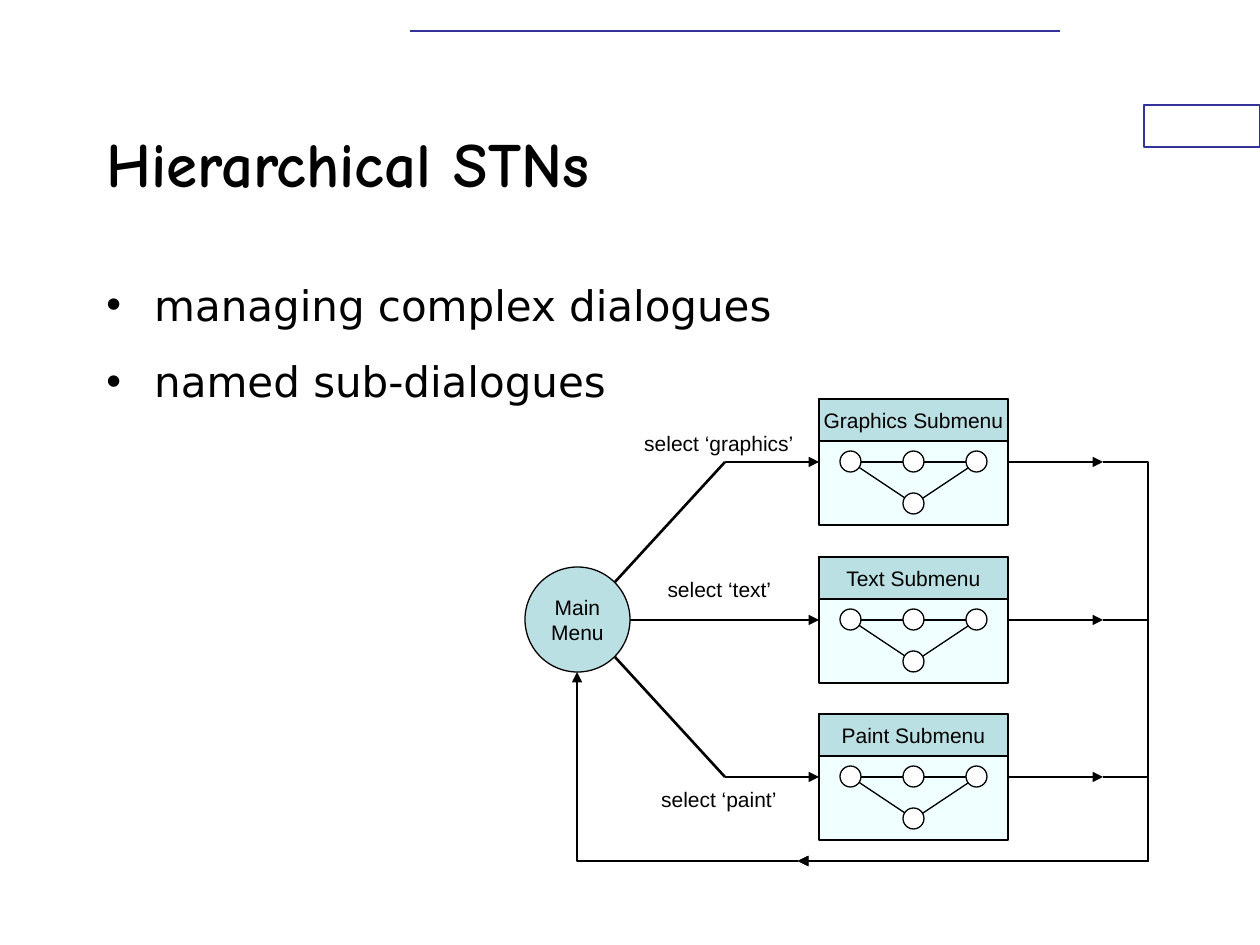
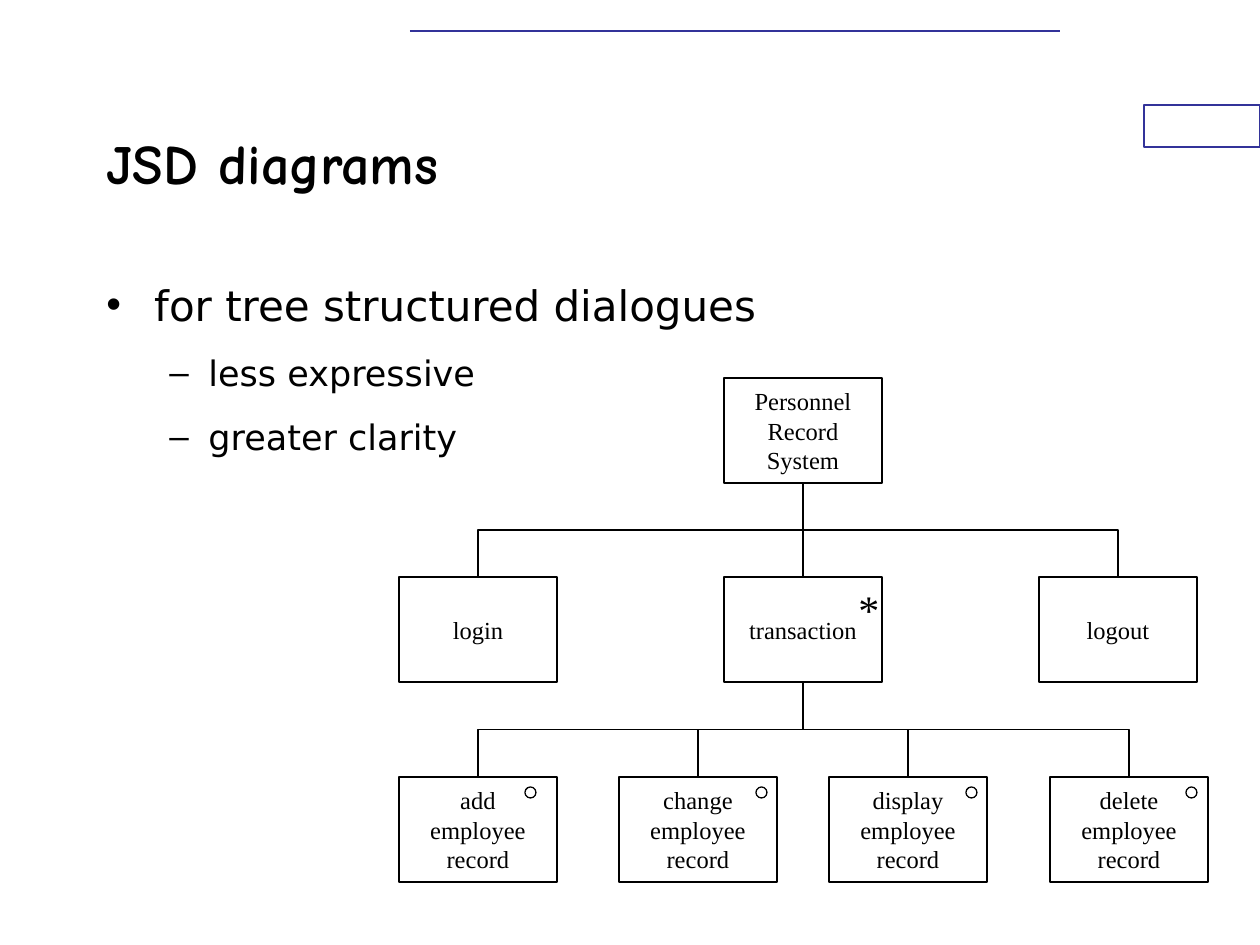
from dataclasses import dataclass

import lxml.etree
import pptx
import pptx.dml.color
import pptx.enum.shapes
import pptx.enum.text
import pptx.oxml.ns
import pptx.presentation
import pptx.shapes.autoshape
import pptx.shapes.connector
import pptx.slide
import pptx.text.text
import pptx.util

RGBColor = pptx.dml.color.RGBColor
BLACK = RGBColor(0x00, 0x00, 0x00)
WHITE = RGBColor(0xFF, 0xFF, 0xFF)
FRAME_BLUE = RGBColor(0x33, 0x33, 0x99)
TEAL = RGBColor(0xBB, 0xE0, 0xE3)
AZURE = RGBColor(0xF0, 0xFF, 0xFF)

TITLE_FONT, BODY_FONT = "Comic Neue", "DejaVu Sans"
STN_FONT, JSD_FONT = "Arial", "Times New Roman"

THIN, MEDIUM, THICK = 0.74, 0.99, 1.5  # line widths in points
EMU_PER_PIXEL = 914400 / 126

RECTANGLE = pptx.enum.shapes.MSO_SHAPE.RECTANGLE
OVAL = pptx.enum.shapes.MSO_SHAPE.OVAL
STRAIGHT = pptx.enum.shapes.MSO_CONNECTOR.STRAIGHT
ELBOW = pptx.enum.shapes.MSO_CONNECTOR.ELBOW
LEFT = pptx.enum.text.PP_ALIGN.LEFT
CENTER = pptx.enum.text.PP_ALIGN.CENTER
TOP = pptx.enum.text.MSO_ANCHOR.TOP
MIDDLE = pptx.enum.text.MSO_ANCHOR.MIDDLE

Point = tuple[int, int]
qn = pptx.oxml.ns.qn


@dataclass(frozen=True)
class Box:
    left: int
    top: int
    width: int
    height: int

    @property
    def center(self) -> int:
        return self.left + self.width // 2

    @property
    def bottom(self) -> int:
        return self.top + self.height

    def emu(self) -> list[pptx.util.Emu]:
        return [emu(n) for n in (self.left, self.top, self.width, self.height)]


@dataclass(frozen=True)
class TextStyle:
    font: str
    size: int
    bold: bool = False


@dataclass(frozen=True)
class BulletStyle:
    mark: str
    size: int
    margin: float  # inches
    hanging: float  # inches
    space_before: float


@dataclass(frozen=True)
class Submenu:
    name: str
    top: int
    label: str
    label_box: Box


@dataclass(frozen=True)
class JsdNode:
    text: str
    left: int
    top: int
    marker_offset: int = 0  # no option marker when zero

    @property
    def box(self) -> Box:
        return Box(self.left, self.top, 158, 105)


BULLETS = (
    BulletStyle("•", 24, 0.38, 0.38, 15),
    BulletStyle("–", 20, 0.81, 0.31, 12.5),
)
STN_TEXT = TextStyle(STN_FONT, 12)
JSD_TEXT = TextStyle(JSD_FONT, 14)


def emu(pixels: float) -> pptx.util.Emu:
    return pptx.util.Emu(round(pixels * EMU_PER_PIXEL))


# Basic drawing
def add_run(paragraph: pptx.text.text._Paragraph, text: str, style: TextStyle) -> None:
    run = paragraph.add_run()
    run.text = text
    run.font.name = style.font
    run.font.size = pptx.util.Pt(style.size)
    run.font.bold = style.bold
    run.font.color.rgb = BLACK


def write(frame: pptx.text.text.TextFrame, text: str, style: TextStyle,
          alignment=CENTER, anchor=MIDDLE, wrap: bool = False) -> None:
    frame.word_wrap = wrap
    frame.auto_size = pptx.enum.text.MSO_AUTO_SIZE.NONE
    frame.vertical_anchor = anchor
    paragraph = frame.paragraphs[0]
    paragraph.alignment = alignment
    for index, line in enumerate(text.split("\n")):
        if index:
            paragraph.add_line_break()
        add_run(paragraph, line, style)


def add_box(slide: pptx.slide.Slide, kind, box: Box, fill: RGBColor = WHITE,
            line: RGBColor = BLACK, width: float = THIN) -> pptx.shapes.autoshape.Shape:
    shape = slide.shapes.add_shape(kind, *box.emu())
    shape.shadow.inherit = False
    shape.fill.solid()
    shape.fill.fore_color.rgb = fill
    shape.line.color.rgb = line
    shape.line.width = pptx.util.Pt(width)
    return shape


def add_label(slide: pptx.slide.Slide, box: Box, text: str, style: TextStyle,
              alignment=CENTER) -> None:
    label = slide.shapes.add_textbox(*box.emu())
    write(label.text_frame, text, style, alignment, TOP)


def add_line(slide: pptx.slide.Slide, start: tuple, end: tuple, width: float = THIN,
             color: RGBColor = BLACK, arrow: bool = False,
             kind=STRAIGHT) -> pptx.shapes.connector.Connector:
    connector = slide.shapes.add_connector(kind, *(emu(n) for n in start + end))
    connector.line.color.rgb = color
    connector.line.width = pptx.util.Pt(width)
    properties = connector._element.spPr
    if arrow:
        lxml.etree.SubElement(properties.find(qn("a:ln")), qn("a:tailEnd"), type="triangle")
    lxml.etree.SubElement(properties, qn("a:effectLst"))
    return connector


def shape_elbow(connector: pptx.shapes.connector.Connector, bends: tuple[float, ...],
                degrees: int = 0, preset: str = "bentConnector3") -> None:
    """Set the preset, rotation and bend positions (shares of the size)."""
    properties = connector._element.spPr
    if degrees:
        properties.find(qn("a:xfrm")).set("rot", str(degrees * 60000))
    geometry = properties.find(qn("a:prstGeom"))
    geometry.set("prst", preset)
    for number, bend in enumerate(bends, 1):
        lxml.etree.SubElement(geometry.find(qn("a:avLst")), qn("a:gd"),
                              name=f"adj{number}", fmla=f"val {round(bend * 100000)}")


# Shared slide parts
def add_slide(presentation: pptx.presentation.Presentation, title: str, title_size: int,
              bullets: list[tuple[int, str]]) -> pptx.slide.Slide:
    slide = presentation.slides.add_slide(presentation.slide_layouts[5])
    slide.background.fill.solid()
    slide.background.fill.fore_color.rgb = WHITE

    add_box(slide, RECTANGLE, Box(1144, 105, 116, 42), line=FRAME_BLUE)
    add_line(slide, (410, 31), (1060, 31), MEDIUM, FRAME_BLUE)

    heading = slide.shapes.title
    heading.left, heading.top, heading.width, heading.height = Box(94, 84, 945, 157).emu()
    write(heading.text_frame, title, TextStyle(TITLE_FONT, title_size, True), LEFT, wrap=True)

    frame = slide.shapes.add_textbox(*Box(94, 273, 1071, 567).emu()).text_frame
    frame.word_wrap = True
    for index, (level, text) in enumerate(bullets):
        paragraph = frame.add_paragraph() if index else frame.paragraphs[0]
        add_bullet(paragraph, level, text)
    return slide


def add_bullet(paragraph: pptx.text.text._Paragraph, level: int, text: str) -> None:
    style = BULLETS[level]
    paragraph.level = level
    paragraph.alignment = LEFT
    paragraph.space_before = pptx.util.Pt(style.space_before)
    properties = paragraph._p.get_or_add_pPr()
    properties.set("marL", str(pptx.util.Inches(style.margin)))
    properties.set("indent", str(-pptx.util.Inches(style.hanging)))
    lxml.etree.SubElement(properties, qn("a:buFont"), typeface="Arial")
    lxml.etree.SubElement(properties, qn("a:buChar"), char=style.mark)
    add_run(paragraph, text, TextStyle(BODY_FONT, style.size))


# State transition network
SUBMENU_LEFT, SUBMENU_WIDTH = 819, 189
PORT_DROP = 63  # from the top of a submenu to its arrows
SUBMENUS = (
    Submenu("Graphics Submenu", 399, "select ‘graphics’", Box(632, 424, 174, 38)),
    Submenu("Text Submenu", 557, "select ‘text’", Box(655, 570, 129, 38)),
    Submenu("Paint Submenu", 714, "select ‘paint’", Box(649, 780, 140, 38)),
)


def add_submenu(slide: pptx.slide.Slide, submenu: Submenu) -> None:
    add_box(slide, RECTANGLE, Box(SUBMENU_LEFT, submenu.top, SUBMENU_WIDTH, 126), AZURE)
    header = add_box(slide, RECTANGLE, Box(SUBMENU_LEFT, submenu.top, SUBMENU_WIDTH, 42), TEAL)
    write(header.text_frame, submenu.name, STN_TEXT)

    left, middle, right = (SUBMENU_LEFT + 32 + 63 * n for n in range(3))
    row = submenu.top + PORT_DROP
    states = [(left, row), (middle, row), (right, row), (middle, row + 42)]
    for start, end in ((0, 3), (2, 3), (2, 0)):
        add_line(slide, states[start], states[end])
    for x, y in states:
        add_box(slide, OVAL, Box(x - 11, y - 11, 21, 21))


def draw_stn(slide: pptx.slide.Slide) -> None:
    main_menu = Box(525, 567, 105, 105)
    circle = add_box(slide, OVAL, main_menu, TEAL)
    write(circle.text_frame, "Main\nMenu", STN_TEXT)

    ports = [submenu.top + PORT_DROP for submenu in SUBMENUS]
    bend = 725
    add_line(slide, (615, 582), (bend, ports[0]), THICK)
    add_line(slide, (615, 657), (bend, ports[2]), THICK)

    exit_left, exit_right = SUBMENU_LEFT + SUBMENU_WIDTH, 1103
    rail, return_row, return_arrow = 1148, 861, 798
    rail_bend = (exit_right - rail) / (exit_right - return_arrow)

    for submenu, port, entry in zip(SUBMENUS, ports, (bend, 630, bend)):
        add_submenu(slide, submenu)
        add_label(slide, submenu.label_box, submenu.label, STN_TEXT)
        add_line(slide, (entry, port), (SUBMENU_LEFT, port), THICK, arrow=True)
        add_line(slide, (exit_left, port), (exit_right, port), THICK, arrow=True)
        way_out = add_line(slide, (exit_right, port), (return_arrow, return_row), THICK,
                           arrow=True, kind=ELBOW)
        shape_elbow(way_out, (rail_bend,))

    # Way back to the main menu
    way_back = add_line(slide, (main_menu.center, main_menu.bottom),
                        (return_arrow, return_row), THICK, arrow=True, kind=ELBOW)
    shape_elbow(way_back, (0.2, 0), 180, "bentConnector4")


# JSD tree
ROOT = JsdNode("Personnel\nRecord\nSystem", 724, 378)
TRANSACTION = JsdNode("transaction", 724, 577)
STEPS = (JsdNode("login", 399, 577), TRANSACTION, JsdNode("logout", 1039, 577))
ACTIONS = tuple(
    JsdNode(f"{verb}\nemployee\nrecord", left, 777, offset)
    for verb, left, offset in (("add", 399, 126), ("change", 619, 137),
                               ("display", 829, 137), ("delete", 1050, 136))
)


def add_node(slide: pptx.slide.Slide, node: JsdNode) -> None:
    shape = add_box(slide, RECTANGLE, node.box, width=MEDIUM)
    write(shape.text_frame, node.text, JSD_TEXT)
    if node.marker_offset:
        add_box(slide, OVAL, Box(node.left + node.marker_offset, node.top + 10, 11, 11))


def add_branch(slide: pptx.slide.Slide, parent: JsdNode, child: JsdNode) -> None:
    start, end = (parent.box.center, parent.box.bottom), (child.box.center, child.top)
    across, down = end[0] - start[0], end[1] - start[1]
    if not across:
        add_line(slide, start, end)
        return
    # A quarter turn about the middle makes the elbow leave downwards
    middle_x, middle_y = (start[0] + end[0]) / 2, (start[1] + end[1]) / 2
    side = down / 2 if across > 0 else -down / 2
    branch = add_line(slide, (middle_x + side, middle_y - abs(across) / 2),
                      (middle_x - side, middle_y + abs(across) / 2), kind=ELBOW)
    shape_elbow(branch, (0.5,), 270 if across > 0 else 90)


def draw_jsd(slide: pptx.slide.Slide) -> None:
    for node in (ROOT, *STEPS, *ACTIONS):
        add_node(slide, node)
    add_label(slide, Box(846, 577, 57, 63), "*", TextStyle(JSD_FONT, 24), LEFT)
    for parent, children in ((ROOT, STEPS), (TRANSACTION, ACTIONS)):
        for child in children:
            add_branch(slide, parent, child)


def main() -> None:
    presentation = pptx.Presentation()
    presentation.slide_width = pptx.util.Inches(10)
    presentation.slide_height = pptx.util.Inches(7.5)
    draw_stn(add_slide(presentation, "Hierarchical STNs", 36, [
        (0, "managing complex dialogues"), (0, "named sub-dialogues")]))
    draw_jsd(add_slide(presentation, "JSD diagrams", 32, [
        (0, "for tree structured dialogues"), (1, "less expressive"), (1, "greater clarity")]))
    presentation.save("out.pptx")


main()
